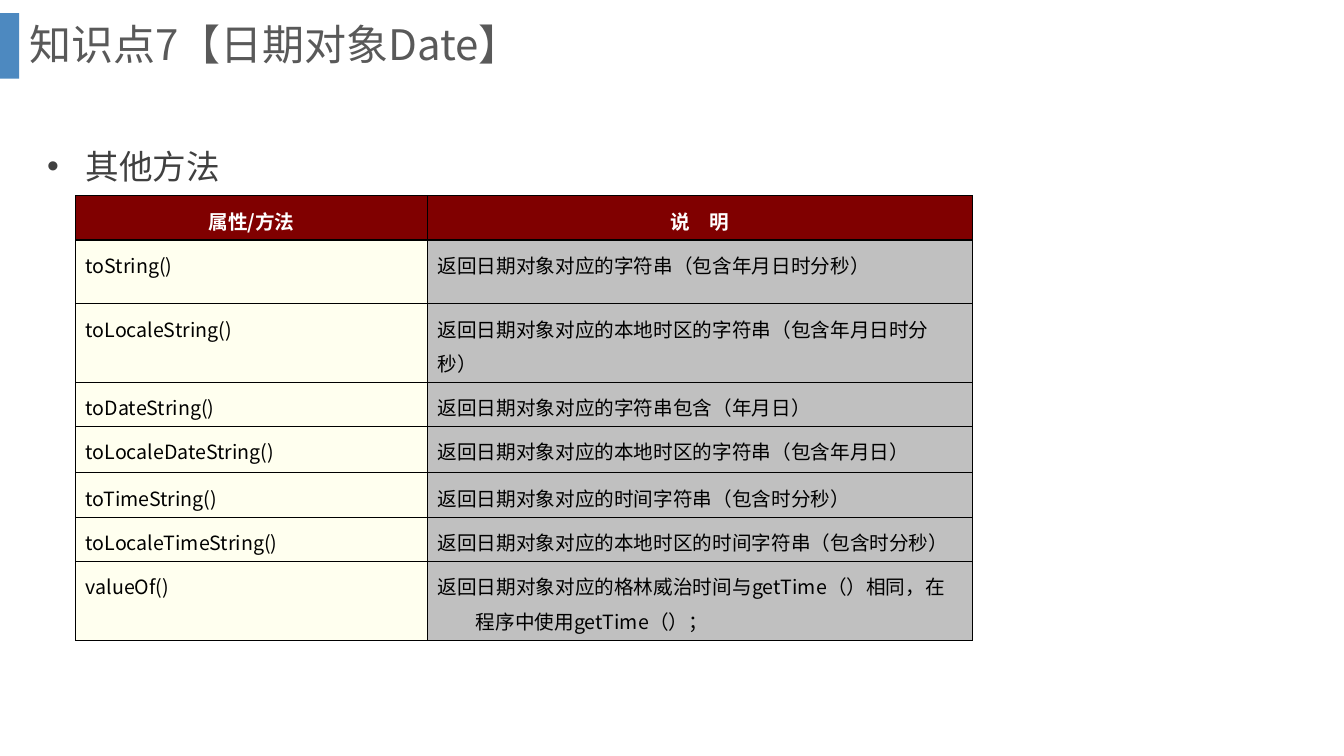
from lxml import etree
from pptx import Presentation
from pptx.dml.color import RGBColor
from pptx.enum.shapes import MSO_SHAPE
from pptx.enum.text import MSO_ANCHOR, PP_ALIGN
from pptx.oxml.ns import qn
from pptx.util import Inches, Pt

RECTANGLE = MSO_SHAPE.RECTANGLE
MIDDLE, TOP = MSO_ANCHOR.MIDDLE, MSO_ANCHOR.TOP
CENTER, LEFT = PP_ALIGN.CENTER, PP_ALIGN.LEFT

FONT = "Noto Sans CJK SC"
HANGING = 0.38
TITLE = "知识点7【日期对象Date】"
BULLET = "其他方法"
ROWS = [
    ("属性/方法", "说　明"),
    ("toString()", "返回日期对象对应的字符串（包含年月日时分秒）"),
    ("toLocaleString()", "返回日期对象对应的本地时区的字符串（包含年月日时分秒）"),
    ("toDateString()", "返回日期对象对应的字符串包含（年月日）"),
    ("toLocaleDateString()", "返回日期对象对应的本地时区的字符串（包含年月日）"),
    ("toTimeString()", "返回日期对象对应的时间字符串（包含时分秒）"),
    ("toLocaleTimeString()", "返回日期对象对应的本地时区的时间字符串（包含时分秒）"),
    ("valueOf()", "返回日期对象对应的格林威治时间与getTime（）相同，在程序中使用getTime（）；"),
]
COLUMN_WIDTHS = [3.49, 5.41]
ROW_HEIGHTS = [0.44, 0.63, 0.78, 0.44, 0.46, 0.44, 0.44, 0.78]
HEADER_FILL = "800000"
COLUMN_FILLS = ["FFFFEF", "C0C0C0"]
TITLE_FORMAT = {"size": Pt(30), "bold": False}
BULLET_FORMAT = {"size": Pt(24), "bold": False}
HEADER_FORMAT = {"size": Pt(14), "bold": True}
CELL_FORMAT = {"size": Pt(14), "bold": False}


def color(hex_value):
    return RGBColor.from_string(hex_value)


def set_fill(target, hex_value):
    target.fill.solid()
    target.fill.fore_color.rgb = color(hex_value)


def write(text_frame, text, font_format, font_color, spacing,
          align=LEFT, hanging=False, bullet=None):
    paragraph = text_frame.paragraphs[0]
    paragraph.alignment = align
    paragraph.line_spacing = spacing
    if hanging:
        properties = paragraph._p.get_or_add_pPr()
        properties.set("marL", str(Inches(HANGING)))
        properties.set("indent", str(-Inches(HANGING)))
        if bullet:
            etree.SubElement(properties, qn("a:buFont"), typeface="Arial")
            etree.SubElement(properties, qn("a:buChar"), char=bullet)
    run = paragraph.add_run()
    run.text = text
    for name, value in font_format.items():
        setattr(run.font, name, value)
    run.font.color.rgb = color(font_color)
    run.font.name = FONT
    etree.SubElement(run._r.get_or_add_rPr(), qn("a:ea"), typeface=FONT)


def add_text_box(slide, box, anchor):
    text_frame = slide.shapes.add_textbox(*map(Inches, box)).text_frame
    text_frame.word_wrap = True
    text_frame.vertical_anchor = anchor
    return text_frame


def set_borders(cell, widths):
    """Draw black cell edges; widths maps an edge tag to points."""
    properties = cell._tc.get_or_add_tcPr()
    for index, (edge, width) in enumerate(widths.items()):
        line = etree.Element(qn(f"a:{edge}"), w=str(Pt(width)))
        fill = etree.SubElement(line, qn("a:solidFill"))
        etree.SubElement(fill, qn("a:srgbClr"), val="000000")
        properties.insert(index, line)


def add_method_table(slide):
    table = slide.shapes.add_table(
        len(ROWS), len(COLUMN_WIDTHS), Inches(0.75), Inches(1.94),
        Inches(sum(COLUMN_WIDTHS)), Inches(sum(ROW_HEIGHTS))).table
    for column, width in zip(table.columns, COLUMN_WIDTHS):
        column.width = Inches(width)
    last = len(ROWS) - 1
    for r, texts in enumerate(ROWS):
        table.rows[r].height = Inches(ROW_HEIGHTS[r])
        header = r == 0
        for c, text in enumerate(texts):
            cell = table.cell(r, c)
            set_fill(cell, HEADER_FILL if header else COLUMN_FILLS[c])
            set_borders(cell, {"lnL": 0.75, "lnR": 0.75,
                               "lnT": 2 if r == 1 else 0.75,
                               "lnB": 2 if header else 0.75})
            write(cell.text_frame, text,
                  HEADER_FORMAT if header else CELL_FORMAT,
                  "FFFFFF" if header else "000000", 1.2,
                  align=CENTER if header else LEFT,
                  hanging=c == 0 or r in (0, last))


def main():
    presentation = Presentation()
    presentation.slide_width = Inches(13.33)
    presentation.slide_height = Inches(7.5)
    slide = presentation.slides.add_slide(presentation.slide_layouts[6])

    accent_bar = slide.shapes.add_shape(
        RECTANGLE, *map(Inches, (0, 0.13, 0.19, 0.65)))
    accent_bar.shadow.inherit = False
    set_fill(accent_bar, "2E75B6")
    bar_color = accent_bar._element.spPr.find(f".//{qn('a:srgbClr')}")
    etree.SubElement(bar_color, qn("a:alpha"), val="85000")
    accent_bar.line.fill.background()

    body = add_text_box(slide, (0.37, 1.2, 12.05, 5.46), TOP)
    write(body, BULLET, BULLET_FORMAT, "404040", 1.5, hanging=True, bullet="•")
    title = add_text_box(slide, (0.19, 0, 12.66, 0.93), MIDDLE)
    write(title, TITLE, TITLE_FORMAT, "595959", 0.9)
    add_method_table(slide)
    presentation.save("out.pptx")


if __name__ == "__main__":
    main()
